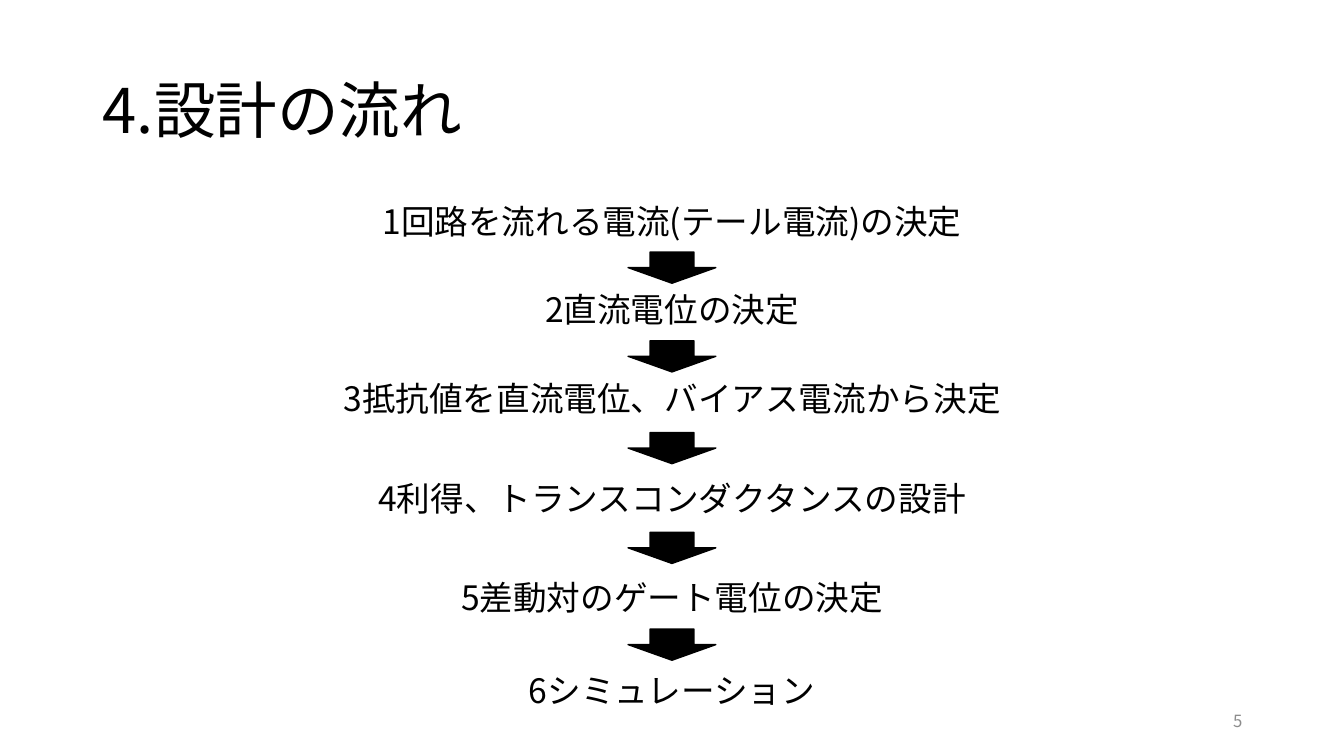
import pptx
import pptx.dml.color
import pptx.enum.lang
import pptx.enum.shapes
import pptx.enum.text
import pptx.oxml.ns
import pptx.util
from lxml import etree

Inches = pptx.util.Inches
Pt = pptx.util.Pt
ALIGN = pptx.enum.text.PP_ALIGN
ANCHOR = pptx.enum.text.MSO_ANCHOR


def rgb(value):
    return pptx.dml.color.RGBColor.from_string(value)


class Deck:
    """Holds the style and the current slide, and adds elements to it."""

    font = "Noto Sans CJK JP"
    ink = "000000"
    muted = "8C8C8C"

    def __init__(self):
        self.prs = pptx.Presentation()
        self.prs.slide_width = Inches(13.33)
        self.prs.slide_height = Inches(7.5)
        self.s = self.prs.slides.add_slide(self.prs.slide_layouts[6])

    def text(self, box, words, size, align=ALIGN.LEFT, anchor=ANCHOR.TOP,
             color=ink, spacing=1.0):
        sp = self.s.shapes.add_textbox(*[Inches(v) for v in box])
        tf = sp.text_frame
        tf.word_wrap = True
        tf.vertical_anchor = anchor
        p = tf.paragraphs[0]
        p.alignment = align
        p.line_spacing = spacing
        r = p.add_run()
        r.text = words
        r.font.size = Pt(size)
        r.font.name = self.font
        r.font.language_id = pptx.enum.lang.MSO_LANGUAGE_ID.JAPANESE
        r.font.color.rgb = rgb(color)
        ea = etree.SubElement(r.font._element, pptx.oxml.ns.qn("a:ea"))
        ea.set("typeface", self.font)

    def down_arrow(self, box):
        sp = self.s.shapes.add_shape(
            pptx.enum.shapes.MSO_SHAPE.DOWN_ARROW, *[Inches(v) for v in box])
        sp.shadow.inherit = False
        sp.fill.solid()
        sp.fill.fore_color.rgb = rgb(self.ink)
        sp.line.color.rgb = rgb(self.ink)
        sp.line.width = Pt(1)


def main():
    deck = Deck()
    deck.text((0.92, 0.4, 11.5, 1.45), "4.設計の流れ", 44,
              anchor=ANCHOR.MIDDLE, spacing=0.9)

    center = 6.665
    steps = [
        ("回路を流れる電流(テール電流)の決定", 1.94, 6.96),
        ("直流電位の決定", 2.82, 5.25),
        ("抵抗値を直流電位、バイアス電流から決定", 3.7, 7.14),
        ("利得、トランスコンダクタンスの設計", 4.69, 6.57),
        ("差動対のゲート電位の決定", 5.67, 4.71),
        ("シミュレーション", 6.6, 3.49),
    ]
    for number, (words, top, width) in enumerate(steps, 1):
        deck.text((center - width / 2, top, width, 0.5), f"{number}{words}",
                  24, align=ALIGN.CENTER)

    arrow_width = 0.87
    for top in (2.5, 3.38, 4.29, 5.28, 6.24):
        deck.down_arrow((center - arrow_width / 2, top, arrow_width, 0.31))

    deck.text((9.42, 6.95, 3, 0.4), "5", 12, align=ALIGN.RIGHT,
              anchor=ANCHOR.MIDDLE, color=deck.muted)
    deck.prs.save("out.pptx")


if __name__ == "__main__":
    main()
